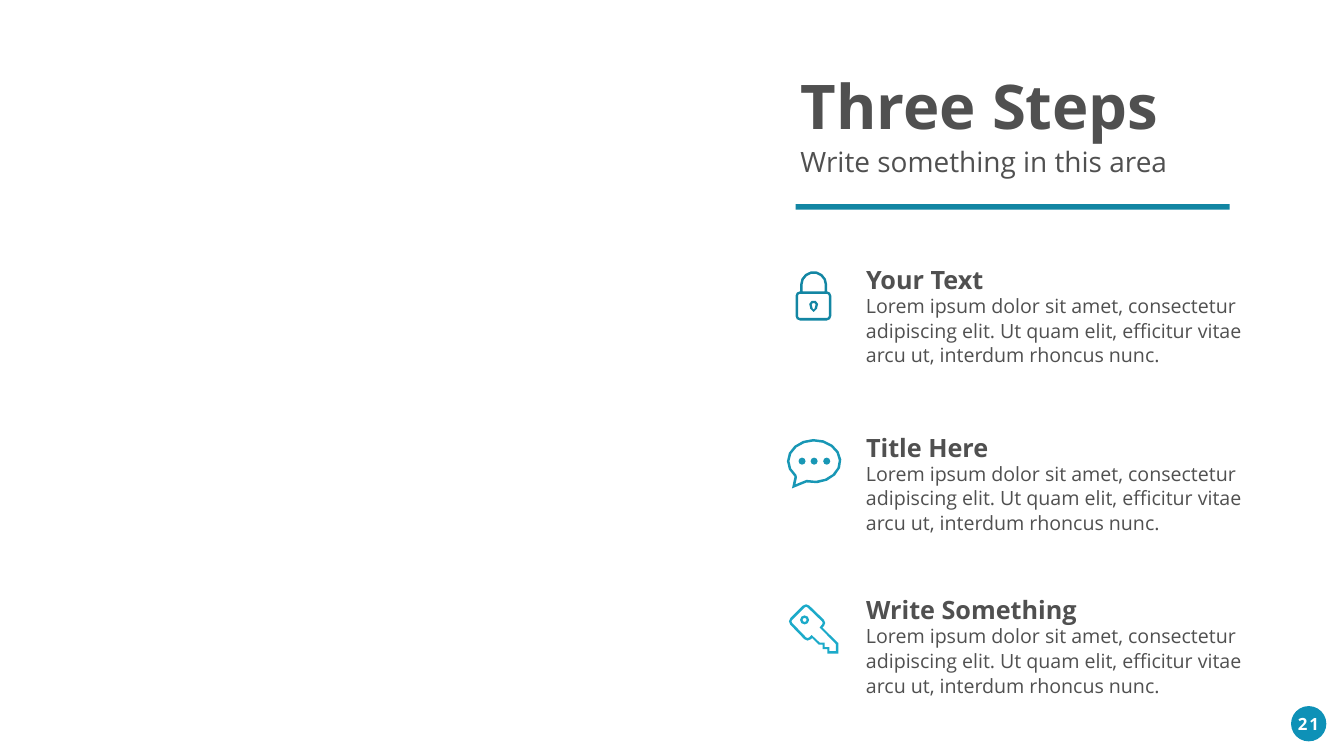
import math

import pptx
import pptx.dml.color
import pptx.enum.shapes
import pptx.enum.text
import pptx.util
from pptx.util import Inches

FONT = "Open Sans"
TEXT = pptx.dml.color.RGBColor(0x50, 0x50, 0x50)
WHITE = pptx.dml.color.RGBColor(0xFF, 0xFF, 0xFF)
DEEP_TEAL = pptx.dml.color.RGBColor(0x13, 0x86, 0xA3)
TEAL = pptx.dml.color.RGBColor(0x18, 0x97, 0xB5)
LIGHT_TEAL = pptx.dml.color.RGBColor(0x1C, 0xAA, 0xC9)
BADGE_BLUE = pptx.dml.color.RGBColor(0x0E, 0x91, 0xB7)

BODY = ("Lorem ipsum dolor sit amet, consectetur adipiscing elit. "
        "Ut quam elit, efficitur vitae arcu ut, interdum rhoncus nunc.")
STEPS = [("Your Text", 5.2, 3.22), ("Title Here", 8.52, 3.22),
         ("Write Something", 11.75, 5.89)]


def paint(shape, color):
    shape.shadow.inherit = False
    shape.fill.solid()
    shape.fill.fore_color.rgb = color
    shape.line.fill.background()


def add_block(slide, kind, box, color):
    shape = slide.shapes.add_shape(kind, *map(Inches, box))
    paint(shape, color)


def add_text(slide, text, box, size, color=TEXT, bold=False, wrap=True,
             spacing=None, align=None, tracking=None):
    frame = slide.shapes.add_textbox(*map(Inches, box)).text_frame
    frame.word_wrap = wrap
    frame.auto_size = pptx.enum.text.MSO_AUTO_SIZE.SHAPE_TO_FIT_TEXT
    paragraph = frame.paragraphs[0]
    paragraph.alignment = align
    if spacing:
        paragraph.line_spacing = pptx.util.Pt(spacing)
    run = paragraph.add_run()
    run.text = text
    formats = {"name": FONT, "size": pptx.util.Pt(size), "bold": bold}
    for name, value in formats.items():
        setattr(run.font, name, value)
    run.font.color.rgb = color
    if tracking:
        run._r.get_or_add_rPr().set("spc", str(tracking * 100))


def arc(x, y, radius_x, radius_y, start, end, count):
    angles = [math.radians(start + (end - start) * i / count)
              for i in range(count + 1)]
    return [(x + radius_x * math.cos(a), y + radius_y * math.sin(a))
            for a in angles]


def circle(x, y, radius):
    return arc(x, y, radius, radius, 0, 315, 7)


def rounded_corners(corners, radius):
    return [point for x, y, start in corners
            for point in arc(x, y, radius, radius, start, start + 90, 2)]


def lock_body(radius):
    return rounded_corners([(16.4, 5.87, -90), (16.4, 6.27, 0),
                            (15.87, 6.27, 90), (15.87, 5.87, 180)], radius)


def shackle(radius):
    return arc(16.14, 5.65, radius, radius, 180, 360, 7)


def keyhole(radius, foot):
    return (arc(16.14, 6.05, radius, radius, 140, 400, 5)
            + arc(16.14, 6.12, foot, foot, 0, 180, 2))


def key_outline(radius, shaft):
    head = [(15.74, 12.33, 135), (15.99, 12.08, 225), (16.28, 12.36, 315)]
    return (rounded_corners(head, radius) + shaft
            + rounded_corners([(16.02, 12.62, 45)], radius))


def add_icon(slide, contours, color):
    paths = [[(Inches(x), Inches(y)) for x, y in contour]
             for contour in contours]
    builder = slide.shapes.build_freeform(*paths[0][0])
    builder.add_line_segments(paths[0][1:])
    for path in paths[1:]:
        builder.move_to(*path[0])
        builder.add_line_segments(path[1:])
    paint(builder.convert_to_shape(), color)


def add_lock(slide):
    add_icon(slide, [
        shackle(0.27) + [(16.41, 5.78)] + lock_body(0.09) + [(15.87, 5.78)],
        shackle(0.22) + [(16.36, 5.78), (15.92, 5.78)],
        lock_body(0.04), keyhole(0.09, 0.07), keyhole(0.04, 0.02),
    ], DEEP_TEAL)


def add_bubble(slide):
    outside = arc(16.15, 9.15, 0.54, 0.44, 136, 466, 15) + [(15.71, 9.69)]
    inside = (arc(16.15, 9.15, 0.49, 0.39, 136, 468, 15)
              + [(15.78, 9.61), (15.81, 9.47)])
    dots = [circle(x, 9.15, 0.07) for x in (15.91, 16.15, 16.4)]
    add_icon(slide, [outside, inside] + dots, TEAL)


def add_key(slide):
    outside = [(16.31, 12.45), (16.63, 12.76), (16.63, 12.97),
               (16.41, 12.97), (16.41, 12.88), (16.32, 12.88),
               (16.32, 12.79), (16.24, 12.79), (16.11, 12.66)]
    inside = [(16.26, 12.45), (16.58, 12.78), (16.58, 12.92),
              (16.45, 12.92), (16.45, 12.84), (16.36, 12.84),
              (16.36, 12.75), (16.26, 12.75), (16.1, 12.6)]
    add_icon(slide, [
        key_outline(0.09, outside), key_outline(0.04, inside),
        circle(15.96, 12.3, 0.09), circle(15.96, 12.3, 0.04),
    ], LIGHT_TEAL)


def add_step(slide, title, top, width):
    add_text(slide, BODY, (17.08, top + 0.57, 8.24, 1.55), 28, spacing=35)
    add_text(slide, title, (17.08, top, width, 0.71), 36, bold=True)


def add_page_badge(slide, number):
    add_block(slide, pptx.enum.shapes.MSO_SHAPE.OVAL,
              (25.61, 14.01, 0.7, 0.7), BADGE_BLUE)
    add_text(slide, number, (25.56, 14.11, 0.79, 0.5), 24, WHITE, bold=True,
             align=pptx.enum.text.PP_ALIGN.CENTER, tracking=3)


def main():
    presentation = pptx.Presentation()
    presentation.slide_width = Inches(26.66)
    presentation.slide_height = Inches(15)
    slide = presentation.slides.add_slide(presentation.slide_layouts[6])

    add_page_badge(slide, "21")
    add_bubble(slide)
    add_key(slide)
    add_lock(slide)
    for title, top, width in STEPS:
        add_step(slide, title, top, width)
    add_text(slide, "Three Steps", (15.78, 1.3, 7.39, 1.58), 88,
             bold=True, wrap=False)
    add_text(slide, "Write something in this area",
             (15.78, 2.82, 7.56, 0.77), 40, wrap=False)
    add_block(slide, pptx.enum.shapes.MSO_SHAPE.RECTANGLE,
              (15.78, 4.05, 8.61, 0.11), DEEP_TEAL)

    presentation.save("out.pptx")


if __name__ == "__main__":
    main()
